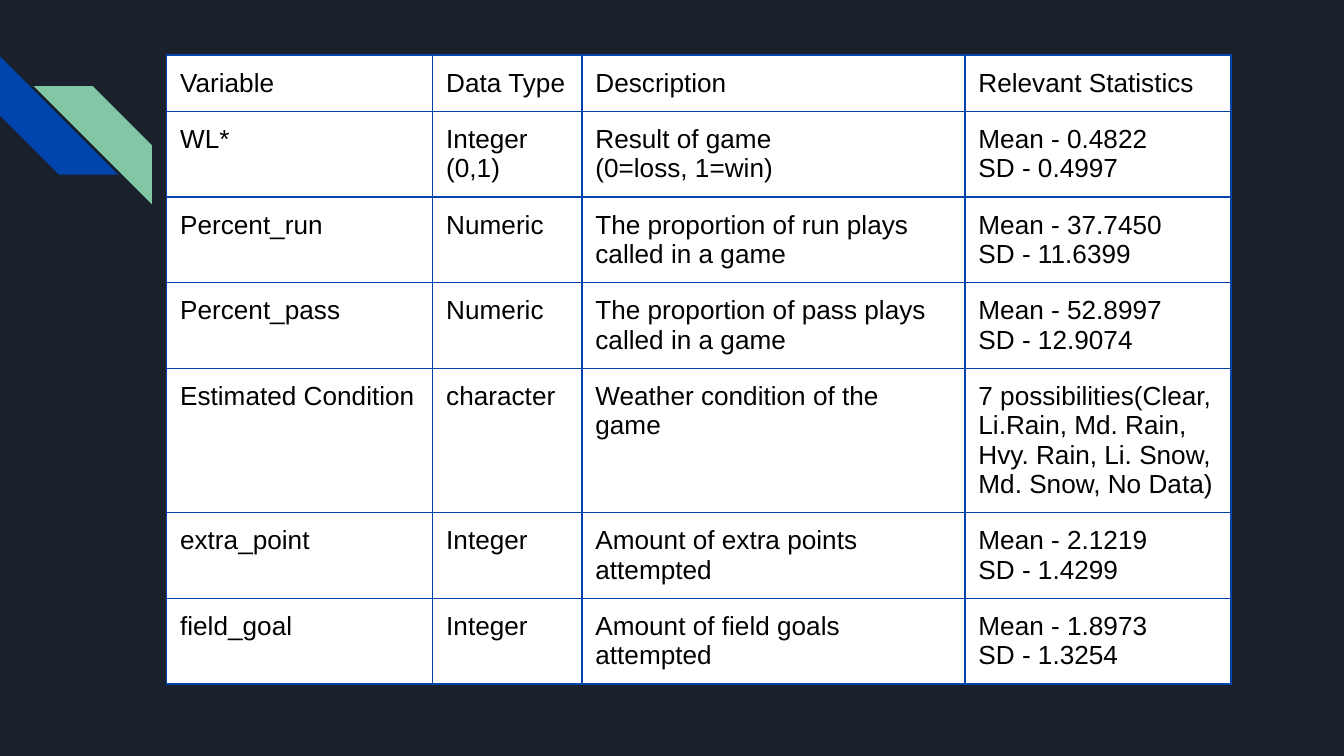
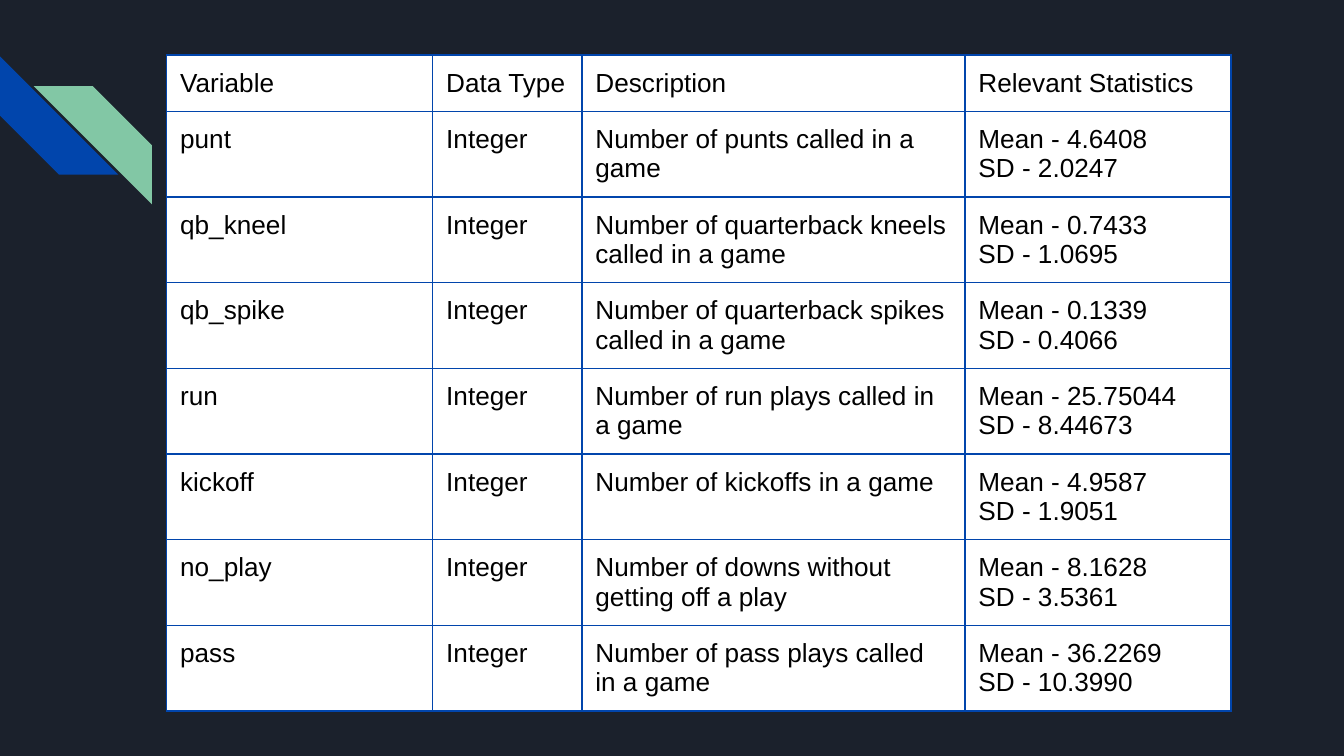
import dataclasses

import lxml.etree
import pptx
import pptx.dml.color
import pptx.enum.shapes
import pptx.oxml.ns
import pptx.slide
import pptx.table
import pptx.util

EMU_PER_PX = 4572


@dataclasses.dataclass(frozen=True)
class Theme:
    background: str = "1B212C"
    blue: str = "0145AC"
    green: str = "82C7A5"
    cell: str = "FFFFFF"
    text: str = "000000"
    font: str = "Arial"
    text_size: float = 14
    border_width: float = 0.75


@dataclasses.dataclass(frozen=True)
class Stripe:
    left: int
    top: int
    color: str
    rotation: int = 0
    mirrored: bool = False


@dataclasses.dataclass(frozen=True)
class Row:
    variable: str
    data_type: str
    description: str
    statistics: str
    height: int = 70


def px(length: int) -> pptx.util.Emu:
    return pptx.util.Emu(length * EMU_PER_PX)


def rgb(color: str) -> pptx.dml.color.RGBColor:
    return pptx.dml.color.RGBColor.from_string(color)


def moments(mean: str, deviation: str) -> str:
    return f"Mean - {mean}\nSD - {deviation}"


THEME = Theme()
SLIDE_WIDTH, SLIDE_HEIGHT = 2000, 1125
STRIPE_SIZE = 176
TABLE_LEFT, TABLE_TOP = 248, 82
COLUMN_WIDTHS = (396, 222, 570, 396)
CELL_INSET = 20

STRIPES = (
    Stripe(0, 84, THEME.blue, rotation=270),
    Stripe(50, 128, THEME.green, mirrored=True),
)

HEADER = Row("Variable", "Data Type", "Description", "Relevant Statistics")

GAME_ROWS = (
    Row("WL*", "Integer (0,1)", "Result of game\v(0=loss, 1=win)", moments("0.4822", "0.4997")),
    Row("Percent_run", "Numeric", "The proportion of run plays called in a game",
        moments("37.7450", "11.6399")),
    Row("Percent_pass", "Numeric", "The proportion of pass plays called in a game",
        moments("52.8997", "12.9074")),
    Row("Estimated Condition", "character", "Weather condition of the game",
        "7 possibilities(Clear, Li.Rain, Md. Rain, Hvy. Rain, Li. Snow, Md. Snow, No Data)"),
    Row("extra_point", "Integer", "Amount of extra points attempted", moments("2.1219", "1.4299")),
    Row("field_goal", "Integer", "Amount of field goals attempted", moments("1.8973", "1.3254")),
)

PLAY_ROWS = (
    Row("punt", "Integer", "Number of punts called in a game",
        moments("4.6408", "2.0247"), height=110),
    Row("qb_kneel", "Integer", "Number of quarterback kneels called in a game",
        moments("0.7433", "1.0695")),
    Row("qb_spike", "Integer", "Number of quarterback spikes called in a game",
        moments("0.1339", "0.4066")),
    Row("run", "Integer", "Number of run plays called in a game", moments("25.75044", "8.44673")),
    Row("kickoff", "Integer", "Number of kickoffs in a game", moments("4.9587", "1.9051")),
    Row("no_play", "Integer", "Number of downs without getting off a play",
        moments("8.1628", "3.5361")),
    Row("pass", "Integer", "Number of pass plays called in a game", moments("36.2269", "10.3990")),
)


def draw_stripe(page: pptx.slide.Slide, stripe: Stripe) -> None:
    shape = page.shapes.add_shape(
        pptx.enum.shapes.MSO_SHAPE.DIAGONAL_STRIPE,
        px(stripe.left), px(stripe.top), px(STRIPE_SIZE), px(STRIPE_SIZE),
    )
    shape.adjustments[0] = 0.5
    shape.rotation = stripe.rotation
    shape.shadow.inherit = False
    shape.fill.solid()
    shape.fill.fore_color.rgb = rgb(stripe.color)
    shape.line.fill.background()
    if stripe.mirrored:
        shape.element.spPr.xfrm.set("flipH", "1")


def draw_borders(cell: pptx.table._Cell) -> None:
    properties = cell._tc.get_or_add_tcPr()
    qn = pptx.oxml.ns.qn
    for side in ("lnL", "lnR", "lnT", "lnB"):
        line = lxml.etree.SubElement(
            properties, qn(f"a:{side}"), w=str(pptx.util.Pt(THEME.border_width))
        )
        fill = lxml.etree.SubElement(line, qn("a:solidFill"))
        lxml.etree.SubElement(fill, qn("a:srgbClr"), val=THEME.blue)


def fill_cell(cell: pptx.table._Cell, text: str) -> None:
    cell.margin_left = cell.margin_right = px(CELL_INSET)
    cell.margin_top = cell.margin_bottom = px(CELL_INSET)
    draw_borders(cell)
    cell.fill.solid()
    cell.fill.fore_color.rgb = rgb(THEME.cell)
    cell.text_frame.text = text
    for para in cell.text_frame.paragraphs:
        for span in para.runs:
            span.font.name = THEME.font
            span.font.size = pptx.util.Pt(THEME.text_size)
            span.font.color.rgb = rgb(THEME.text)


def draw_table(page: pptx.slide.Slide, rows: tuple[Row, ...]) -> None:
    frame = page.shapes.add_table(
        len(rows), len(COLUMN_WIDTHS), px(TABLE_LEFT), px(TABLE_TOP),
        px(sum(COLUMN_WIDTHS)), px(sum(row.height for row in rows)),
    )
    table = frame.table
    table.first_row = False
    table.horz_banding = False
    for column, width in zip(table.columns, COLUMN_WIDTHS):
        column.width = px(width)
    for table_row, row in zip(table.rows, rows):
        table_row.height = px(row.height)
        texts = (row.variable, row.data_type, row.description, row.statistics)
        for cell, text in zip(table_row.cells, texts):
            fill_cell(cell, text)


def add_page(deck: pptx.presentation.Presentation, rows: tuple[Row, ...]) -> None:
    page = deck.slides.add_slide(deck.slide_layouts[6])
    page.background.fill.solid()
    page.background.fill.fore_color.rgb = rgb(THEME.background)
    for stripe in STRIPES:
        draw_stripe(page, stripe)
    draw_table(page, (HEADER, *rows))


def main() -> None:
    deck = pptx.Presentation()
    deck.slide_width = px(SLIDE_WIDTH)
    deck.slide_height = px(SLIDE_HEIGHT)
    for rows in (GAME_ROWS, PLAY_ROWS):
        add_page(deck, rows)
    deck.save("out.pptx")


if __name__ == "__main__":
    main()
